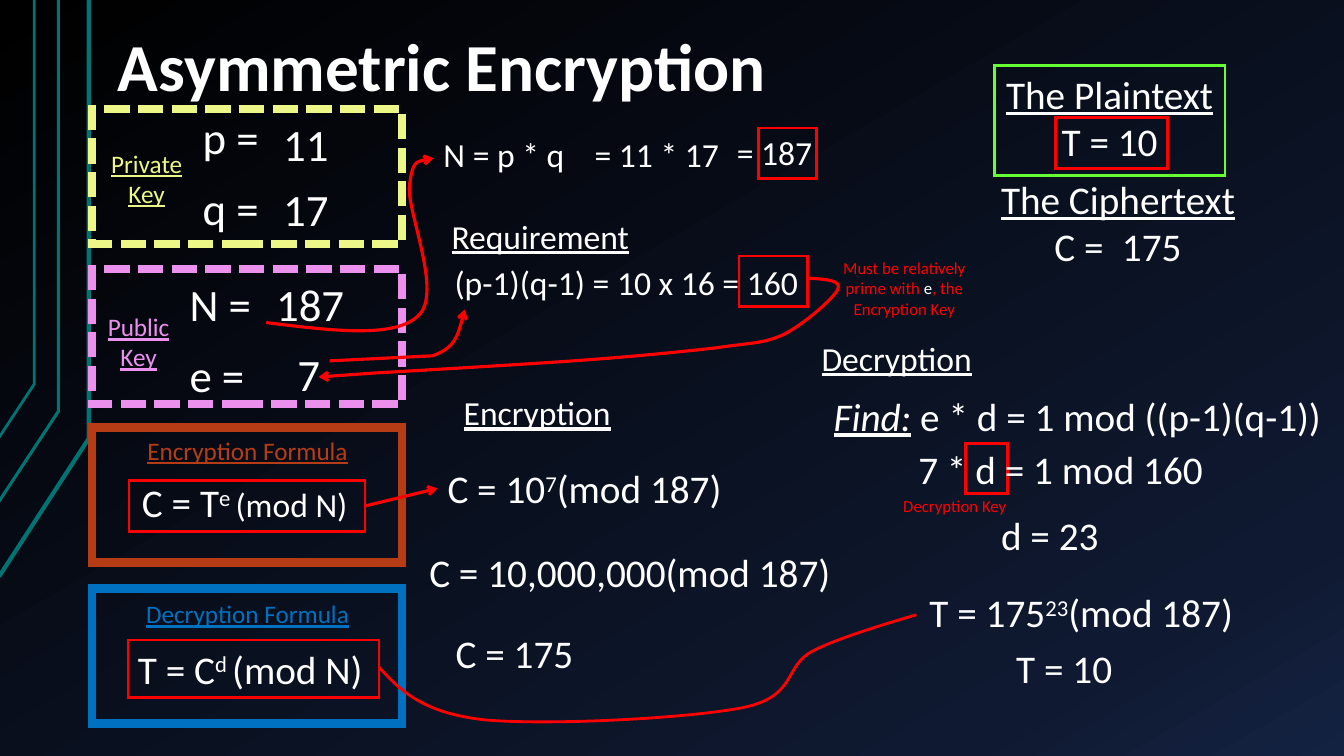
from copy import deepcopy

from lxml.etree import SubElement
from pptx import Presentation
from pptx.dml.color import RGBColor
from pptx.enum.dml import MSO_LINE
from pptx.enum.shapes import MSO_CONNECTOR, MSO_SHAPE
from pptx.enum.text import MSO_ANCHOR, MSO_AUTO_SIZE as AUTO, PP_ALIGN
from pptx.oxml.ns import qn
from pptx.util import Inches, Pt

WHITE = RGBColor(0xFF, 0xFF, 0xFF)
BLACK = RGBColor(0x00, 0x00, 0x00)
NAVY = RGBColor(0x0F, 0x19, 0x31)
INDIGO = RGBColor(0x14, 0x22, 0x42)
TEAL = RGBColor(0x00, 0x73, 0x73)
YELLOW = RGBColor(0xEC, 0xF7, 0x87)
PINK = RGBColor(0xEC, 0x90, 0xEE)
RUST = RGBColor(0xB6, 0x3C, 0x16)
BLUE = RGBColor(0x00, 0x70, 0xC0)
RED = RGBColor(0xFF, 0x00, 0x00)
GREEN = RGBColor(0x66, 0xFF, 0x33)
CENTER = PP_ALIGN.CENTER


def write(at, *paragraphs, sp=None, size=28, color=WHITE, bold=False, underline=False,
          align=PP_ALIGN.LEFT, wrap=True, spacing=None, before=0, inset=(0.1, 0.05)):
    """Write paragraphs, each a string or a list of (text, run format) pairs."""
    box = [Inches(v) for v in at]
    if sp is None:
        sp = slide.shapes.add_textbox(*box)
    sp.left, sp.top, sp.width, sp.height = box
    tf = sp.text_frame
    tf.word_wrap = wrap
    tf.auto_size = AUTO.NONE if spacing else AUTO.SHAPE_TO_FIT_TEXT
    tf.margin_left = tf.margin_right = Inches(inset[0])
    tf.margin_top = tf.margin_bottom = Inches(inset[1])
    for i, runs in enumerate(paragraphs):
        p = tf.add_paragraph() if i else tf.paragraphs[0]
        p.alignment, p.line_spacing, p.space_before = align, spacing, Pt(before)
        for text, fmt in [(runs, {})] if isinstance(runs, str) else runs:
            r = p.add_run()
            r.text = text
            r.font.name = "Calibri"
            r.font.size = Pt(fmt.get("size", size))
            r.font.color.rgb = fmt.get("color", color)
            r.font.bold = bold
            r.font.italic = fmt.get("italic", False)
            r.font.underline = fmt.get("underline", underline)
            if fmt.get("sup"):
                r.font._element.set("baseline", "30000")
    return sp


def style_line(sp, color, width, dash=None, arrow=False):
    sp.line.color.rgb = color
    sp.line.width = Pt(width)
    if dash:
        sp.line.dash_style = dash
    ln = sp.line._get_or_add_ln()
    SubElement(ln, qn("a:miter"), lim="800000")
    if arrow:
        SubElement(ln, qn("a:tailEnd"), type="arrow")
    SubElement(sp._element.spPr, qn("a:effectLst"))


prs = Presentation()
prs.slide_width, prs.slide_height = Inches(13.33), Inches(7.5)
slide = prs.slides.add_slide(prs.slide_layouts[1])
shapes = slide.shapes

# Background
fill = slide.background.fill
fill.gradient()
fill.gradient_angle = 300
gs_list = next(slide._element.iter(qn("a:gsLst")))
gs_list.insert(1, deepcopy(gs_list[0]))
for stop, position, color in zip(fill.gradient_stops, (0, 0.85, 1), (BLACK, NAVY, INDIGO)):
    stop.position = position
    stop.color.rgb = color

# Title and private key
title = write((1.04, 0.2, 9, 0.92), "Asymmetric Encryption", sp=shapes.title, size=48,
              bold=True, spacing=0.9, inset=(0.13, 0.07))
title.text_frame.vertical_anchor = MSO_ANCHOR.BOTTOM
key_format = dict(size=32, spacing=0.9, before=16, inset=(0.13, 0.07))
primes = write((1.88, 1.08, 2.25, 1.22), "p =", "q =", sp=slide.placeholders[1], **key_format)
for p in primes.text_frame.paragraphs:
    pPr = p._p.get_or_add_pPr()
    pPr.set("marL", "0")
    pPr.set("indent", "0")
    SubElement(pPr, qn("a:buNone"))
write((1.75, 2.74, 2.25, 1.14), "N =", "e =", **key_format)

# Panels and highlight boxes
DASH = MSO_LINE.SQUARE_DOT
boxes = {}
for name, at, color, width, dash in (
    ("private key", (0.91, 1.08, 3.08, 1.34), YELLOW, 6, DASH),
    ("public key", (0.91, 2.67, 3.08, 1.34), PINK, 6, DASH),
    ("encryption", (0.91, 4.24, 3.08, 1.34), RUST, 6, None),
    ("decryption", (0.91, 5.84, 3.08, 1.34), BLUE, 6, None),
    ("187", (7.52, 1.27, 0.58, 0.5), RED, 2, None),
    ("160", (7.33, 2.54, 0.68, 0.5), RED, 2, None),
    ("C formula", (1.28, 4.77, 2.34, 0.5), RED, 2, None),
    ("T formula", (1.27, 6.35, 2.49, 0.57), RED, 2, None),
    ("d", (9.58, 4.4, 0.41, 0.5), RED, 2, None),
    ("T", (10.47, 1.17, 1.11, 0.5), RED, 2, None),
    ("plaintext", (9.86, 0.65, 2.29, 1.09), GREEN, 2, None),
):
    sp = boxes[name] = shapes.add_shape(MSO_SHAPE.RECTANGLE, *map(Inches, at))
    sp.fill.background()
    style_line(sp, color, width, dash)

# Panel labels
for at, label, color in (
    ((0.91, 1.42, 1.09, 0.71), "Private Key", YELLOW),
    ((0.83, 3.04, 1.09, 0.71), "Public Key", PINK),
    ((1.31, 4.27, 2.29, 0.4), "Encryption Formula", RUST),
    ((1.31, 5.89, 2.29, 0.4), "Decryption Formula", BLUE),
):
    write(at, label, size=18, color=color, underline=True, align=CENTER)

# Key values
for x, y, width, value in ((2.71, 1.11, 0.98, "11"), (2.71, 1.75, 0.98, "17"),
                           (2.64, 2.7, 0.96, "187"), (2.85, 3.39, 0.51, "7")):
    write((x, y, width, 0.64), value, size=32)

# Section headings
for x, y, width, heading in ((4.38, 2.09, 1.98, "Requirement"), (4.5, 3.84, 2.08, "Encryption"),
                             (8.05, 3.3, 2.08, "Decryption")):
    write((x, y, width, 0.5), heading, size=24, underline=True)

# Modulus and requirement
for x, y, width, text in (
    (4.3, 1.28, 1.82, "N = p * q"), (5.8, 1.28, 1.44, "= 11 * 17"),
    (7.21, 1.26, 1.03, "= 187"), (4.41, 2.55, 4.33, "(p-1)(q-1) = 10 x 16 = 160"),
):
    write((x, y, width, 0.5), text, size=24)
write((8.22, 2.51, 1.5, 0.71),
      [("Must be relatively prime with ", {}), ("e", {"color": WHITE}),
       (", the Encryption Key", {})], size=12, color=RED, align=CENTER)
write((8.86, 4.87, 3.01, 0.3), "Decryption Key", size=12, color=RED)

# Formulas and worked steps
SUP = {"sup": True}
write((1.31, 4.7, 2.66, 0.57), [("C = T", {}), ("e ", SUP), ("(mod N)", {"size": 24})])
power = write((4.34, 4.56, 3.08, 0.57), [("C = 10", {}), ("7", SUP), ("(mod 187)", {})])
write((8.17, 3.84, 5.27, 0.57), [("Find:", {"italic": True, "underline": True}),
                                 (" ", {"italic": True}), ("e * d = 1 mod ((p-1)(q-1))", {})])
for x, y, width, text in (
    (1.27, 6.35, 2.57, [("T = C", {}), ("d ", SUP), ("(mod N)", {})]),
    (4.16, 5.39, 4.33, "C = 10,000,000(mod 187)"),
    (4.42, 6.19, 1.39, "C = 175"),
    (9.01, 4.37, 3.06, "7 * d = 1 mod 160"),
    (9.83, 5.02, 1.22, "d = 23"),
    (11.03, 2.16, 1, "175"),
    (9.12, 5.79, 3.29, [("T = 175", {}), ("23", SUP), ("(mod 187)", {})]),
    (9.98, 6.34, 3.08, "T = 10"),
):
    write((x, y, width, 0.57), text, wrap=False)

# Plaintext and ciphertext
UNDER = {"underline": True}
write((9.86, 0.65, 2.29, 1.04), [("The Plaintext", UNDER)], "T = 10", align=CENTER)
cipher = write((9.83, 1.69, 2.72, 1.04), [("The Ciphertext", UNDER)], "C =")
cipher.text_frame.paragraphs[1]._p.get_or_add_pPr().set("marL", str(Inches(0.53)))

# Curves: a start point, then line ends (2 numbers) or Bézier segments (6 numbers)
for color, width, arrow, start, *segments in (
    (TEAL, 3, False, (-0.01, 5.72), (0.88, 4.35), (0.88, 0)),
    (TEAL, 2.25, False, (-0.02, 4.99), (0.58, 4.08), (0.58, 0)),
    (TEAL, 2, False, (-0.01, 4.34), (0.34, 3.81), (0.34, 2.54, 0.34, 1.27, 0.34, 0)),
    (RED, 2.25, True, (2.64, 3.2), (3.28, 3.28, 3.92, 3.36, 4.15, 3.13),
     (4.39, 2.91, 4.04, 2.11, 4.06, 1.85), (4.09, 1.59, 4.19, 1.58, 4.3, 1.57)),
    (RED, 2.25, True, (8.02, 2.76), (8.19, 2.77, 8.35, 2.78, 8.31, 2.87),
     (8.27, 2.96, 7.97, 3.22, 7.77, 3.32), (7.57, 3.41, 7.45, 3.4, 7.11, 3.45),
     (6.76, 3.49, 6.26, 3.54, 5.69, 3.58), (5.13, 3.62, 3.73, 3.7, 3.73, 3.7), (3.16, 3.74)),
    (RED, 2.25, True, (3.27, 3.58), (4.29, 3.53), (4.52, 3.45, 4.56, 3.26, 4.61, 3.07)),
    (RED, 2, False, (3.76, 6.62), (3.97, 6.85, 4.19, 7.07, 4.79, 7.14),
     (5.39, 7.2, 6.82, 7.13, 7.37, 7.02), (7.91, 6.91, 7.77, 6.61, 8.06, 6.46),
     (8.34, 6.31, 9.09, 6.1, 9.09, 6.1)),
):
    points = [(Inches(x), Inches(y)) for seg in segments for x, y in zip(seg[::2], seg[1::2])]
    builder = shapes.build_freeform(*map(Inches, start))
    builder.add_line_segments(points, close=False)
    curve = builder.convert_to_shape()
    outline = next(curve._element.iter(qn("a:path")))
    lines = iter(outline.findall(qn("a:lnTo")))
    for seg in segments:
        first = next(lines)
        if len(seg) == 6:
            first.tag = qn("a:cubicBezTo")
            for _ in range(2):
                line = next(lines)
                first.append(line[0])
                outline.remove(line)
    curve.fill.background()
    style_line(curve, color, width, arrow=arrow)
    if color == TEAL:
        shapes._spTree.insert(2, curve._element)

# Arrow from the encryption formula to its first step
link = shapes.add_connector(MSO_CONNECTOR.STRAIGHT, Inches(3.62), Inches(5.02),
                            Inches(4.34), Inches(4.84))
link.begin_connect(boxes["C formula"], 3)
link.end_connect(power, 1)
style_line(link, RED, 2.25, arrow=True)

prs.save("out.pptx")
